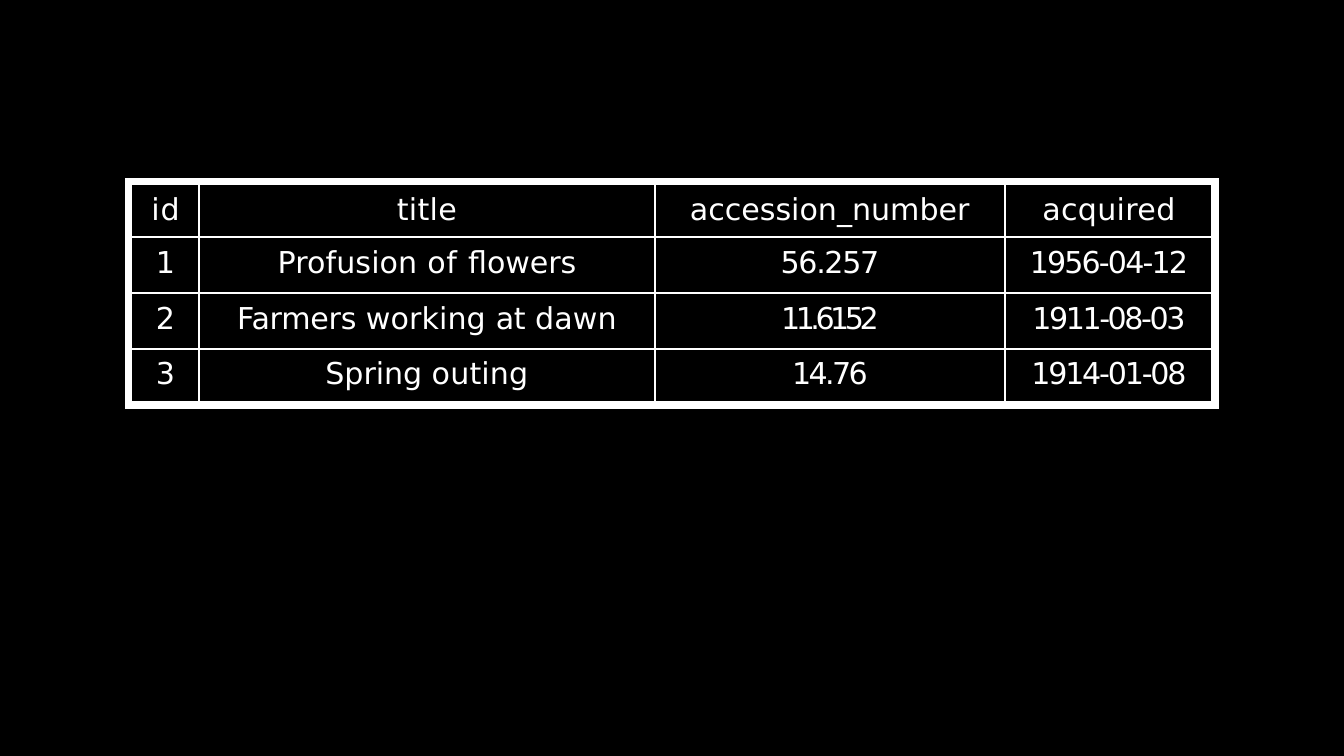
from lxml import etree
from pptx import Presentation
from pptx import util as u
from pptx.dml.color import RGBColor
from pptx.enum import text
from pptx.oxml.ns import qn

PX = 14966  # EMU per px
BLACK = RGBColor(0x00, 0x00, 0x00)
WHITE = RGBColor(0xFF, 0xFF, 0xFF)
FONT = {"name": "DejaVu Sans", "size": u.Pt(35.5)}
NO_STYLE = "{2D5ABB26-0587-4C30-8999-92F81FD0307C}"

RIM = 7
COLS = [RIM, 67, 456, 350, 207, RIM]
ROWS = [RIM, 52, 56, 56, 53, RIM]

# Each cell is a list of (text, letter spacing in points)
ARTWORKS = [
    [[("id", 1)], [("title", 0.4)], [("accession_number", 0)], [("acquired", 0.4)]],
    [[("1", 0)], [("Profusion ", 0.1), ("of ", 0.9), ("flowers", -0.1)],
     [("56.257", -1.6)], [("1956-04-12", -2.2)]],
    [[("2", 0)],
     [("Farmers ", -0.3), ("working ", 0.1), ("at ", -0.3), ("dawn", 0.1)],
     [("11.6152", -5.3)], [("1911-08-03", -2.9)]],
    [[("3", 0)], [("Spring ", -0.1), ("outing", 0.2)],
     [("14.76", -3.1)], [("1914-01-08", -2.6)]],
]
# Top inset in px and space before in points, by row
ROW_PADDING = [(7, 7.9), (9, 10), (9, 10), (8, 9.2)]


def fill_cell(cell, color):
    cell.fill.solid()
    cell.fill.fore_color.rgb = color
    for side in ("left", "right", "top", "bottom"):
        setattr(cell, f"margin_{side}", 0)


def add_borders(cell, sides):
    tc_pr = cell._tc.get_or_add_tcPr()
    for i, side in enumerate(sides):
        ln = etree.Element(qn(f"a:ln{side}"), w=str(u.Pt(3)))
        solid = etree.SubElement(ln, qn("a:solidFill"))
        etree.SubElement(solid, qn("a:srgbClr"), val=str(WHITE))
        tc_pr.insert(i, ln)


def write_cell(cell, runs, inset, space, indent):
    cell.margin_top = inset * PX
    p = cell.text_frame.paragraphs[0]
    p.alignment = text.PP_ALIGN.CENTER
    p.space_before = u.Pt(space)
    p._p.get_or_add_pPr().set("marL", str(indent * PX))
    for words, spacing in runs:
        r = p.add_run()
        r.text = words
        for key, value in FONT.items():
            setattr(r.font, key, value)
        r.font.color.rgb = WHITE
        r._r.get_or_add_rPr().set("spc", str(round(spacing * 100)))


def add_artwork_table(s, x, y):
    frame = s.shapes.add_table(len(ROWS), len(COLS), x * PX, y * PX,
                               sum(COLS) * PX, sum(ROWS) * PX)
    table = frame.table
    table.first_row = table.horz_banding = False
    table._tbl.tblPr.find(qn("a:tableStyleId")).text = NO_STYLE
    for column, width in zip(table.columns, COLS):
        column.width = width * PX
    for row, height in zip(table.rows, ROWS):
        row.height = height * PX

    last_row, last_col = len(ROWS) - 1, len(COLS) - 1
    for i in range(len(ROWS)):
        for j in range(len(COLS)):
            cell = table.cell(i, j)
            # White rim; tiny text keeps its rows thin
            if i in (0, last_row) or j in (0, last_col):
                fill_cell(cell, WHITE)
                p = cell.text_frame.paragraphs[0]
                etree.SubElement(p._p, qn("a:endParaRPr"), sz="100")
                continue
            # Black data cell, ruled on its inner edges only
            fill_cell(cell, BLACK)
            inner = {"L": j > 1, "R": j < last_col - 1,
                     "T": i > 1, "B": i < last_row - 1}
            add_borders(cell, [side for side, ruled in inner.items() if ruled])
            write_cell(cell, ARTWORKS[i - 1][j - 1], *ROW_PADDING[i - 1],
                       indent=int(j == last_col - 1))


def main():
    prs = Presentation()
    prs.slide_width, prs.slide_height = 1344 * PX, 756 * PX
    s = prs.slides.add_slide(prs.slide_layouts[6])

    # Black backdrop
    s.background.fill.solid()
    s.background.fill.fore_color.rgb = BLACK

    add_artwork_table(s, 125, 178)
    prs.save("out.pptx")


if __name__ == "__main__":
    main()
